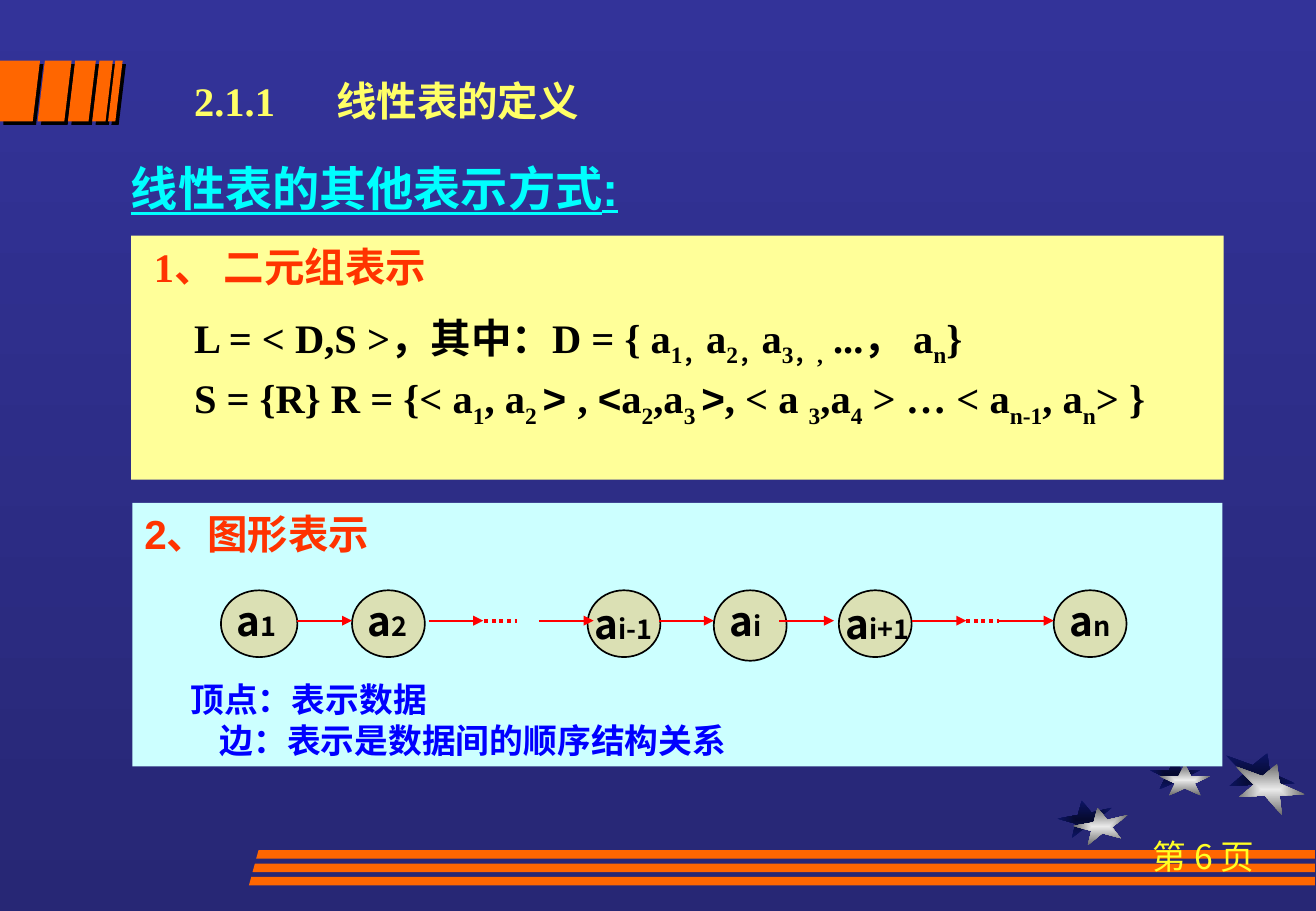
from pptx import Presentation
from pptx.util import Pt
from pptx.dml.color import RGBColor
from pptx.enum.dml import MSO_LINE as DASH
from pptx.enum.shapes import MSO_SHAPE as KIND, MSO_CONNECTOR as WIRE
from pptx.enum.text import PP_ALIGN as ALIGN, MSO_ANCHOR as ANCHOR
from pptx.oxml import parse_xml
from pptx.oxml.ns import qn
from lxml.etree import SubElement as Sub

PX = 9144
WIDE, HIGH = 1084, 750
NS = 'xmlns:a="http://schemas.openxmlformats.org/drawingml/2006/main"'
ROMAN, SANS, HAN = "Times New Roman", "Arial", "Noto Sans CJK SC"
ORANGE, RED, BLACK = "FF6600", "FF0000", "000000"

STARS = [
    (13, 6, [(871, 674), (888, 671), (891, 659), (899, 669), (916, 665),
             (903, 675), (910, 684), (895, 680), (883, 690), (886, 678)]),
    (8, 5, [(947, 634), (963, 634), (968, 624), (973, 634), (989, 634),
            (976, 640), (981, 650), (968, 644), (955, 650), (960, 640)]),
    (8, 9, [(1010, 622), (1032, 630), (1044, 620), (1046, 636), (1067, 645),
            (1046, 646), (1048, 662), (1034, 646), (1013, 647), (1025, 637)]),
]
NIGHT, SILVER = ("060A2F", "0D1565"), ("EAEAEA", "6C6C6C")
SLATS = [(0, 33, 0), (37, 59, 6), (62, 79, 6), (82, 93, 6), (95, 101, 6)]
RAILS = [(211, 700), (208, 711), (205, 722)]

TITLE = "2.1.1\t线性表的定义"
TOPIC = "线性表的其他表示方式:"
PAGE = "第 6 页"
PAIR = "1、 二元组表示"
SETS = [
    "L = < D,S >，其中：D = { a|_1，|a|_2，|a|_3，,| ...， a|_n|}",
    "S = {R} R = {< a|_1|, a|_2 |^> |, |^<|a|_2|,a|_3 |^>|, < a |_3|,a|_4"
    "| > … < a|_n-1|, a|_n|> }",
]
GRAPH = "2、图形表示"
NOTES = [("顶点：表示数据", 38, 72), ("边：表示是数据间的顺序结构关系", 62, 0)]

NODES = [("1", 182, 63, 55, 3, 0), ("2", 290, 60, 55, 3, 0),
         ("i-1", 484, 60, 55, -4, 2), ("i", 588, 60, 58, 3, 0),
         ("i+1", 691, 60, 55, -4, 2), ("n", 868, 60, 55, 3, 0)]
NODE_Y, WIRE_Y = 486, 511
ARROWS = [245, 353, 444, 543, 642, 751, 823]
STEP = 45
DOTS = [399, 796]
GAP = 27

deck = Presentation()
deck.slide_width, deck.slide_height = WIDE * PX, HIGH * PX
slide = deck.slides.add_slide(deck.slide_layouts[6])
shapes = slide.shapes


def rgb(code):
    return RGBColor.from_string(code)


def paint(shape, fill, line=None):
    shape.shadow.inherit = False
    shape.fill.solid()
    shape.fill.fore_color.rgb = rgb(fill)
    if line:
        shape.line.color.rgb = rgb(line)
        shape.line.width = Pt(1)
    else:
        shape.line.fill.background()
    return shape


def block(kind, x, y, w, h, fill, line=None):
    return paint(shapes.add_shape(kind, x * PX, y * PX, w * PX, h * PX),
                 fill, line)


def outline(points, fill):
    pen = shapes.build_freeform(*points[0], scale=PX)
    pen.add_line_segments(points[1:], close=True)
    return paint(pen.convert_to_shape(), fill)


def glow(shape, tones):
    stops = "".join(f'<a:gs pos="{at}"><a:srgbClr val="{tone}"/></a:gs>'
                    for at, tone in zip((0, 100000), tones))
    mid = 'l="50000" t="50000" r="50000" b="50000"'
    prop = shape.element.spPr
    prop.replace(prop.find(qn("a:solidFill")), parse_xml(
        f'<a:gradFill {NS}><a:gsLst>{stops}</a:gsLst><a:path path="rect">'
        f'<a:fillToRect {mid}/></a:path></a:gradFill>'))


def shade(shape):
    shape.element.spPr.find(qn("a:effectLst")).append(parse_xml(
        f'<a:outerShdw {NS} dist="35560" dir="2700000" algn="ctr" '
        f'rotWithShape="0"><a:srgbClr val="{BLACK}"/></a:outerShdw>'))


def style(run, size, color, face, bold=True):
    font = run.font
    font.size, font.bold, font.name = Pt(size), bold, face
    font.color.rgb = rgb(color)
    Sub(run._r.get_or_add_rPr(), qn("a:ea")).set("typeface", HAN)


def put(para, text, size, color, face, bold=True):
    para.text = text
    para.alignment = ALIGN.LEFT
    for run in para.runs:
        style(run, size, color, face, bold)
    return para


def dent(para, left, before=0):
    prop = para._p.get_or_add_pPr()
    prop.set("marL", str(left * PX))
    prop.set("indent", "0")
    para.space_before = Pt(before)


def label(x, y, w, h):
    frame = shapes.add_textbox(x * PX, y * PX, w * PX, h * PX).text_frame
    frame.word_wrap = True
    return frame.paragraphs[0]


def panel(x, y, w, h, fill):
    frame = block(KIND.RECTANGLE, x, y, w, h, fill).text_frame
    frame.word_wrap = True
    frame.vertical_anchor = ANCHOR.TOP
    return frame


def wire(x, span, width):
    line = shapes.add_connector(WIRE.STRAIGHT, x * PX, WIRE_Y * PX,
                                (x + span) * PX, WIRE_Y * PX)
    line.line.color.rgb = rgb(RED)
    line.line.width = Pt(width)
    Sub(line.element.spPr, qn("a:effectLst"))
    return line.line


back = slide.background.fill
back.gradient()
back.gradient_angle = 270
for stop, tone in zip(back.gradient_stops, ("333399", "272775")):
    stop.color.rgb = rgb(tone)

for front in (0, 1):
    for dx, dy, star in STARS:
        spots = [(x + front * dx, y + front * dy) for x, y in star]
        glow(outline(spots, BLACK), SILVER if front else NIGHT)

for left, right, lean in SLATS:
    foot = right - 6
    shade(outline([(left, 50), (right, 50), (foot, 100), (left - lean, 100)],
                  ORANGE))
for x, y in RAILS:
    outline([(x, y + 7), (1083, y + 7), (1083, y), (x + 2, y)], ORANGE)

put(label(900, 683, 183, 50), PAGE, 20, "FFFF25", HAN,
    False).alignment = ALIGN.CENTER

head = put(label(150, 58, 408, 50), TITLE, 24, "FFFF66", ROMAN)
tabs = Sub(head._p.get_or_add_pPr(), qn("a:tabLst"))
Sub(tabs, qn("a:tab"), pos=str(117 * PX), algn="l")

frame = panel(108, 194, 900, 201, "FFFF99")
dent(put(frame.paragraphs[0], PAIR, 24, "FF3300", ROMAN), 9)
for row, text in enumerate(SETS):
    para = frame.add_paragraph()
    para.alignment = ALIGN.LEFT
    dent(para, 42, 0 if row else 10)
    para.line_spacing = 1.1
    for part in text.split("|"):
        mark = part[0] if part[0] in "_^" else ""
        run = para.add_run()
        run.text = part[len(mark):]
        style(run, 24, BLACK, SANS if mark == "^" else ROMAN)
        if mark == "_":
            run.font._element.set("baseline", "-25000")

topic = put(label(98, 126, 512, 56), TOPIC, 28, "00FFFF", SANS)
topic.runs[0].font.underline = True

frame = panel(109, 414, 898, 217, "CCFFFF")
put(frame.paragraphs[0], GRAPH, 24, "FF3300", SANS)
for text, left, before in NOTES:
    dent(put(frame.add_paragraph(), text, 20, "0000FF", SANS), left, before)

for sign, x, w, h, dx, dy in NODES:
    block(KIND.OVAL, x, NODE_Y, w, h, "DBE0B4", BLACK)
    para = put(label(x + dx, NODE_Y + dy, 90, 50), "a", 24, BLACK, HAN)
    run = para.add_run()
    run.text = sign
    style(run, 16, BLACK, HAN)

for x in ARROWS:
    line = wire(x, STEP, 1)
    Sub(line._get_or_add_ln(), qn("a:tailEnd"), type="triangle")
for x in DOTS:
    wire(x, GAP, 2.25).dash_style = DASH.ROUND_DOT

deck.save("out.pptx")
